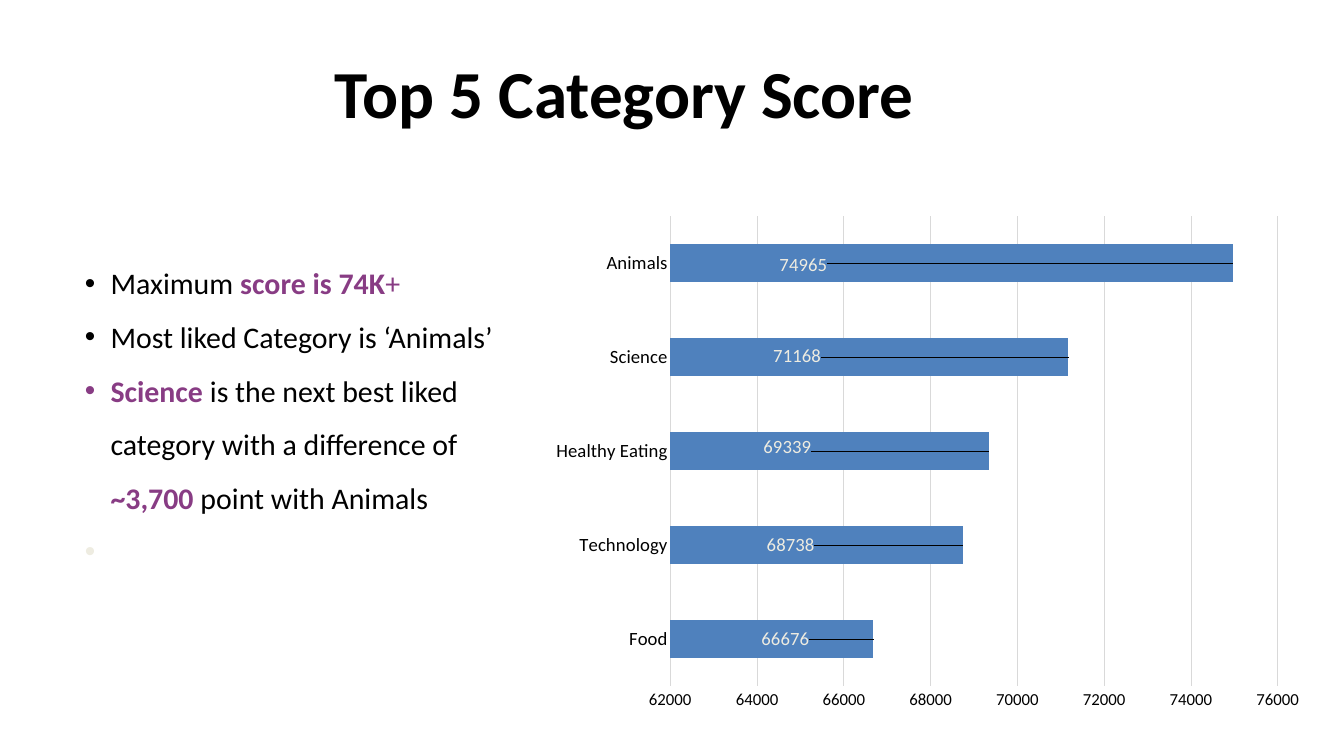
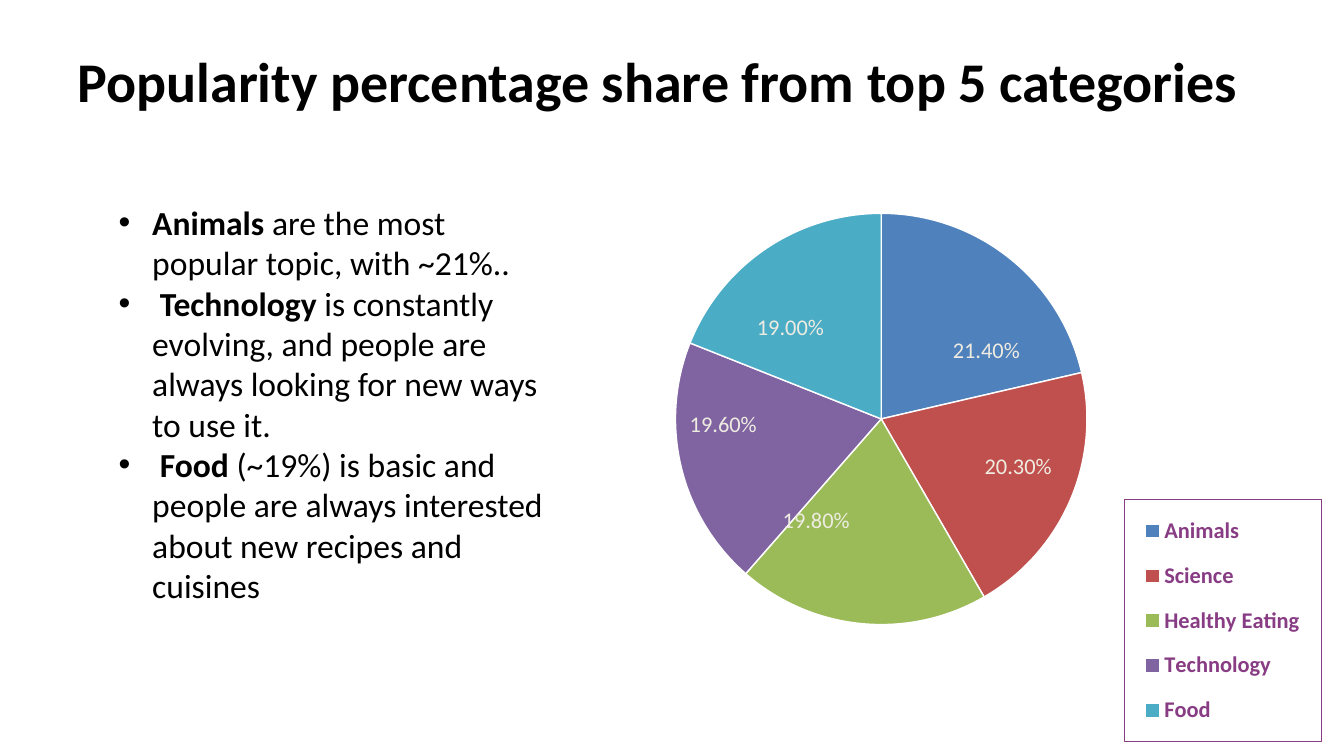
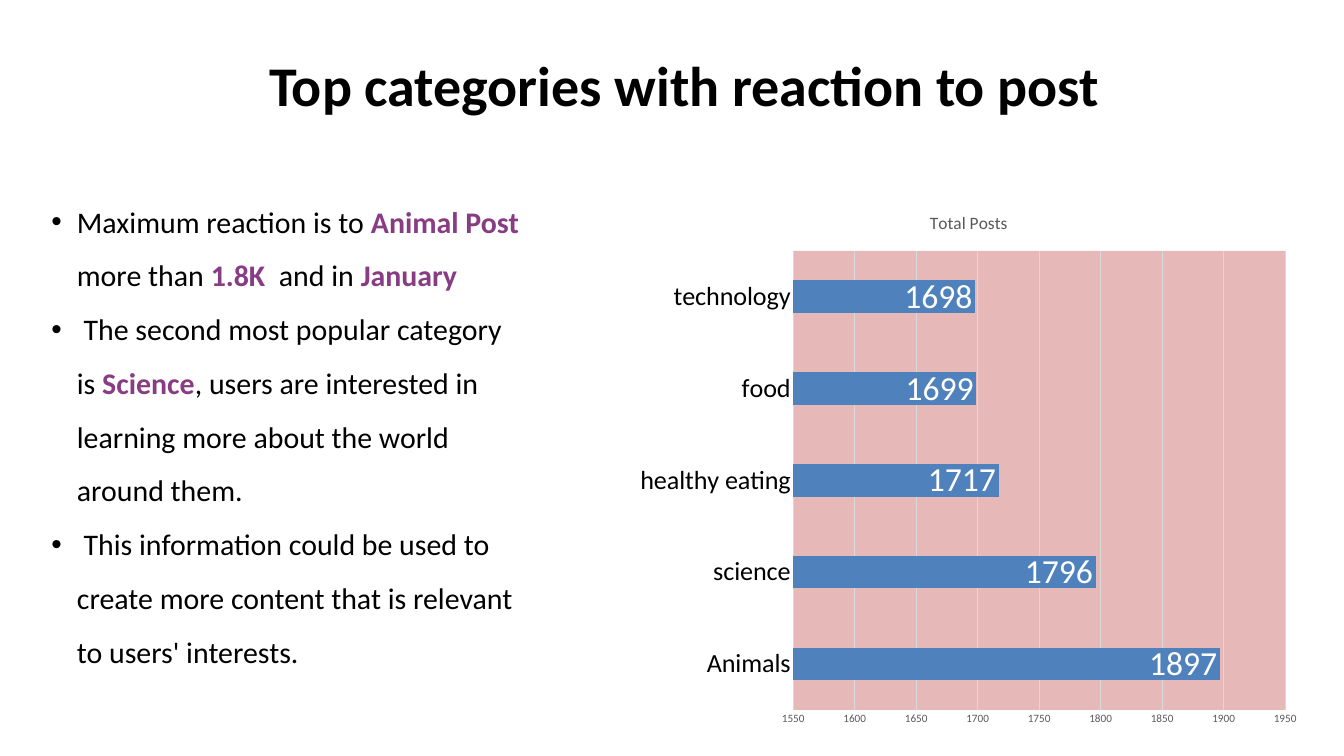
from lxml import etree
from pptx import Presentation
from pptx import util as u
from pptx.chart import data as cd
from pptx.dml.color import RGBColor
from pptx.enum import chart as ch, text
from pptx.oxml import parse_xml
from pptx.oxml.ns import nsdecls, qn

C = {"ink": "000000", "accent": "883C84", "pale": "EEECE1", "white": "FFFFFF",
     "grid": "D9D9D9", "grey": "595959", "blue": "4F81BD", "red": "C0504D",
     "green": "9BBB59", "purple": "8064A2", "teal": "4BACC6", "rose": "E6B9B8"}
FONT = "Calibri"
COLS, ROWS = 240, 135
W, H = u.Inches(20), u.Inches(11.25)
STYLES = {"plain": {"color": "ink", "bold": False},
          "bold": {"color": "ink", "bold": True},
          "accent": {"color": "accent", "bold": True},
          "light": {"color": "accent", "bold": False},
          "faint": {"color": "pale", "bold": True}}


def rgb(name):
    """Return a palette colour."""
    return RGBColor.from_string(C[name])


def place(col, row, cols, rows):
    """Turn grid columns and rows into slide lengths."""
    return [round(v) for v in (W * col / COLS, H * row / ROWS,
                               W * cols / COLS, H * rows / ROWS)]


def set_font(font, size, color="ink", bold=False):
    """Apply the deck's font with the given size, colour and weight."""
    for key, value in {"name": FONT, "size": u.Pt(size), "bold": bold}.items():
        setattr(font, key, value)
    font.color.rgb = rgb(color)


def set_line(line, color, width=0.75):
    """Draw a solid line in a palette colour."""
    line.color.rgb = rgb(color)
    line.width = u.Pt(width)


def add_text_box(s, box):
    """Add a wrapping text box that grows with its text."""
    tf = s.shapes.add_textbox(*place(*box)).text_frame
    for key, value in {"word_wrap": True,
                       "auto_size": text.MSO_AUTO_SIZE.SHAPE_TO_FIT_TEXT}.items():
        setattr(tf, key, value)
    return tf


def add_title(s, box, words, size=60, align=text.PP_ALIGN.CENTER):
    """Add the bold slide title."""
    p = add_text_box(s, box).paragraphs[0]
    p.alignment = align
    r = p.add_run()
    r.text = words
    set_font(r.font, size, bold=True)


def add_bullets(s, box, items, size, indent, spacing):
    """Add a bulleted list whose items are lists of (style, words)."""
    tf = add_text_box(s, box)
    for i, item in enumerate(items):
        p = tf.add_paragraph() if i else tf.paragraphs[0]
        pPr = p._p.get_or_add_pPr()
        pPr.set("marL", str(u.Inches(indent)))
        pPr.set("indent", str(-u.Inches(indent)))
        etree.SubElement(pPr, qn("a:buFont")).set("typeface", "Arial")
        etree.SubElement(pPr, qn("a:buChar")).set("char", "•")
        p.line_spacing = spacing
        for style, words in item:
            r = p.add_run()
            r.text = words
            set_font(r.font, size, **STYLES[style])


def layout(target=None, mode="edge", **shares):
    """Build a manual chart layout from shares of the chart's size."""
    parts = {"layoutTarget": target}
    if mode:
        parts.update(xMode=mode, yMode=mode)
    parts.update(shares)
    body = "".join(f'<c:{k} val="{v}"/>' for k, v in parts.items() if v is not None)
    return parse_xml(f'<c:layout {nsdecls("c")}><c:manualLayout>{body}'
                     '</c:manualLayout></c:layout>')


def add_chart(s, box, kind, name, values, plot_box, fmt="General"):
    """Add a one-series chart with a fixed plot area."""
    data = cd.CategoryChartData(number_format=fmt)
    data.categories = list(values)
    data.add_series(name, list(values.values()))
    chart = s.shapes.add_chart(kind, *place(*box), data).chart
    set_font(chart.font, 10)
    chart.has_legend = chart.has_title = False
    area = chart._chartSpace.chart.plotArea
    for old in area.findall(qn("c:layout")):
        area.remove(old)
    area.insert(0, layout("inner", **dict(zip("xywh", plot_box))))
    return chart


def label_values(series, size, color, pos, fmt="General", shifts=()):
    """Show the values, moving each label by its share of the chart."""
    labels = series.data_labels
    for key, value in {"show_value": True, "number_format": fmt,
                       "number_format_is_linked": False, "position": pos}.items():
        setattr(labels, key, value)
    set_font(labels.font, size, color)
    for i, (x, y) in enumerate(shifts):
        label = series.points[i].data_label
        set_font(label.font, size, color)
        label.position = pos
        dLbl = series._element.xpath(f'.//c:dLbl[c:idx/@val="{i}"]')[0]
        dLbl.find(qn("c:idx")).addnext(layout(mode=None, x=x, y=y))


def style_bars(chart, gap, scale, cat_size, val_size, val_color):
    """Format bars, gridlines and both axes, and return the series."""
    plot, cat, val = chart.plots[0], chart.category_axis, chart.value_axis
    plot.gap_width, plot.vary_by_categories = gap, False
    for axis in (cat, val):
        axis.major_tick_mark = axis.minor_tick_mark = ch.XL_TICK_MARK.NONE
        axis.format.line.fill.background()
    names = ("minimum_scale", "maximum_scale", "major_unit")
    for key, value in zip(names, scale):
        setattr(val, key, value)
    val.has_major_gridlines, cat.has_major_gridlines = True, False
    set_line(val.major_gridlines.format.line, "grid")
    set_font(cat.tick_labels.font, cat_size)
    set_font(val.tick_labels.font, val_size, val_color)
    series = plot.series[0]
    series.format.fill.solid()
    series.format.fill.fore_color.rgb = rgb("blue")
    return series


def score_chart(s, box):
    """Draw the bar chart of category scores."""
    values = {"Food": 66676, "Technology": 68738, "Healthy Eating": 69339,
              "Science": 71168, "Animals": 74965}
    chart = add_chart(s, box, ch.XL_CHART_TYPE.BAR_CLUSTERED, "Series 1", values,
                      (0.179, 0.029, 0.786, 0.908))
    series = style_bars(chart, 150, (62000, 76000, 2000), 20, 18, "ink")
    shifts = [(-0.148, 0), (-0.257, 0), (-0.295, -0.008), (-0.385, -0.003), (-0.59, 0.004)]
    label_values(series, 20, "pale", ch.XL_LABEL_POSITION.OUTSIDE_END, shifts=shifts)


def share_chart(s, box):
    """Draw the pie of popularity shares with its framed legend."""
    values = {"Animals": 0.214, "Science": 0.203, "Healthy Eating": 0.198,
              "Technology": 0.196, "Food": 0.19}
    chart = add_chart(s, box, ch.XL_CHART_TYPE.PIE, "Series 1", values,
                      (0.104, 0.152, 0.561, 0.661), "0.00%")
    series = chart.plots[0].series[0]
    for i, color in enumerate(("blue", "red", "green", "purple", "teal")):
        fmt = series.points[i].format
        fmt.fill.solid()
        fmt.fill.fore_color.rgb = rgb(color)
        set_line(fmt.line, "white", 1.5)
    shifts = [(0.056, 0.02), (0.058, 0.011), (-0.075, 0), (-0.079, -0.028), (-0.045, -0.01)]
    label_values(series, 24, "pale", ch.XL_LABEL_POSITION.CENTER, "0.00%", shifts)
    chart.has_legend = True
    legend = chart.legend
    legend.position = ch.XL_LEGEND_POSITION.RIGHT
    legend.include_in_layout = False
    set_font(legend.font, 24, "accent", True)
    el = legend._element
    for old in el.findall(qn("c:layout")):
        el.remove(old)
    el.find(qn("c:legendPos")).addnext(layout(x=0.716, y=0.612, w=0.268, h=0.388))
    el.find(qn("c:txPr")).addprevious(parse_xml(
        f'<c:spPr {nsdecls("c", "a")}><a:ln w="{u.Pt(0.75)}"><a:solidFill>'
        f'<a:srgbClr val="{C["accent"]}"/></a:solidFill></a:ln></c:spPr>'))


def reaction_chart(s, box):
    """Draw the bar chart of total posts on a tinted plot."""
    values = {"Animals": 1897, "science": 1796, "healthy eating": 1717,
              "food": 1699, "technology": 1698}
    chart = add_chart(s, box, ch.XL_CHART_TYPE.BAR_CLUSTERED, "Total Posts", values,
                      (0.243, 0.106, 0.72, 0.844))
    series = style_bars(chart, 182, (1550, 1950, 50), 28, 12, "grey")
    set_line(chart.category_axis.format.line, "grid")
    label_values(series, 36, "white", ch.XL_LABEL_POSITION.INSIDE_END)
    chart.has_title = True
    r = chart.chart_title.text_frame.paragraphs[0].add_run()
    r.text = "Total Posts"
    set_font(r.font, 18.6, "grey")
    chart._chartSpace.chart.plotArea.append(parse_xml(
        f'<c:spPr {nsdecls("c", "a")}><a:solidFill>'
        f'<a:srgbClr val="{C["rose"]}"/></a:solidFill></c:spPr>'))


def score_slide(s):
    """Build the slide on category scores."""
    score_chart(s, (95, 35.9, 138, 92.5))
    add_title(s, (49, 8.5, 125, 15.7), "Top 5 Category Score", 72)
    add_bullets(s, (14, 43.5, 85, 58.3), [
        [("plain", "Maximum "), ("accent", "score is 74K"), ("light", "+")],
        [("plain", "Most liked Category is ‘Animals’")],
        [("accent", "Science "),
         ("plain", "is the next best liked category with a difference of "),
         ("accent", "~3,700 "), ("plain", "point with Animals")],
        [("faint", " ")],
    ], 32, 0.38, 1.5)


def share_slide(s):
    """Build the slide on popularity shares."""
    share_chart(s, (107, 21.1, 131, 111.4))
    add_title(s, (12.7, 7.8, 219, 13.3),
              "Popularity percentage share from top 5 categories",
              align=text.PP_ALIGN.LEFT)
    add_bullets(s, (20, 35.5, 80, 73.9), [
        [("bold", "Animals"), ("plain", " are the most popular topic, with ~21%..")],
        [("plain", " "), ("bold", "Technology"),
         ("plain", " is constantly evolving, and people are always looking "
                   "for new ways to use it.")],
        [("plain", " "), ("bold", "Food"),
         ("plain", " (~19%) is basic and people are always interested "
                   "about new recipes and cuisines")],
    ], 36, 0.5, 1.0)


def reaction_slide(s):
    """Build the slide on reactions to posts."""
    add_title(s, (12.7, 8.5, 219, 13.3), "Top categories with reaction to post")
    reaction_chart(s, (112, 34.5, 122, 97.1))
    add_bullets(s, (8, 32.5, 86.6, 87.5), [
        [("plain", "Maximum reaction is to "), ("accent", "Animal Post "),
         ("plain", "more than "), ("accent", "1.8K"), ("plain", "  and in "),
         ("accent", "January")],
        [("plain", " The second most popular category is "), ("accent", "Science"),
         ("plain", ", users are interested in learning more about the world around them.")],
        [("plain", " This information could be used to create more content "
                   "that is relevant to users' interests.")],
    ], 32, 0.38, 1.5)


def main():
    """Build and save the deck."""
    prs = Presentation()
    prs.slide_width, prs.slide_height = W, H
    for build in (score_slide, share_slide, reaction_slide):
        s = prs.slides.add_slide(prs.slide_layouts[6])
        s.background.fill.solid()
        s.background.fill.fore_color.rgb = rgb("white")
        build(s)
    prs.save("out.pptx")


if __name__ == "__main__":
    main()
